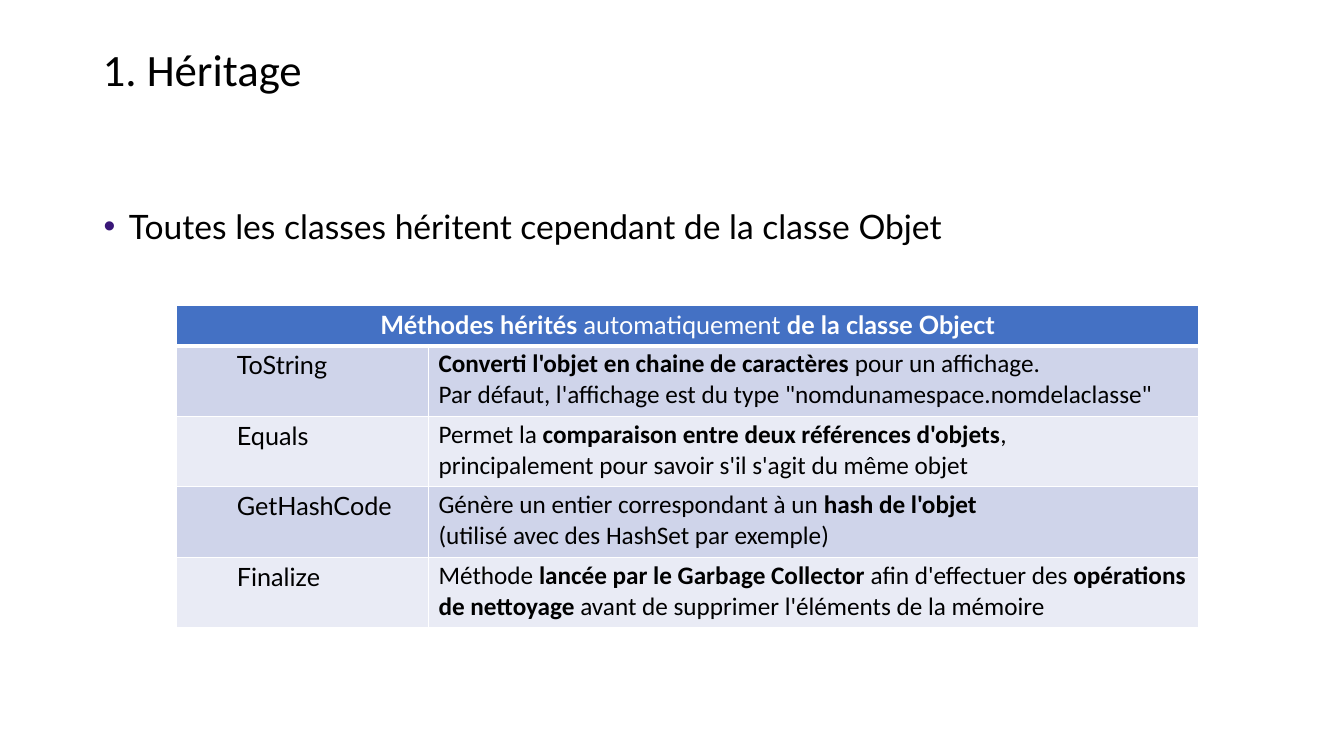
from dataclasses import dataclass

from lxml import etree
from pptx import Presentation
from pptx.dml.color import RGBColor
from pptx.enum.text import MSO_ANCHOR, PP_ALIGN
from pptx.oxml.ns import qn
from pptx.util import Inches, Pt

LEFT, CENTER = PP_ALIGN.LEFT, PP_ALIGN.CENTER
TOP, MIDDLE, BOTTOM = MSO_ANCHOR.TOP, MSO_ANCHOR.MIDDLE, MSO_ANCHOR.BOTTOM

COLORS = {
    "text": "000000",
    "white": "FFFFFF",
    "bullet": "391778",
    "header": "4471C4",
    "odd": "CFD4EA",
    "even": "E9EBF5",
}


@dataclass
class Method:
    name: str
    description: str


METHODS = [
    Method("ToString", "*Converti l'objet en chaine de caractères *pour un affichage.\n"
           "Par défaut, l'affichage est du type \"nomdunamespace.nomdelaclasse\""),
    Method("Equals", "Permet la *comparaison entre deux références d'objets*,\v"
           "principalement pour savoir s'il s'agit du même objet"),
    Method("GetHashCode", "Génère un entier correspondant à un *hash de l'objet*\n"
           "(utilisé avec des HashSet par exemple)"),
    Method("Finalize", "Méthode *lancée par le Garbage Collector *afin d'effectuer des "
           "*opérations de nettoyage *avant de supprimer l'éléments de la mémoire"),
]


def write(tf, text: str, *, size: float = 18, font: str = "Calibri", color: str = "text",
          align=LEFT, spacing: float = 1.0) -> None:
    """Fill a text frame: newline starts a paragraph, \\v a line, and *stars* mark bold."""
    tf.word_wrap = True
    for i, line in enumerate(text.split("\n")):
        p = tf.add_paragraph() if i else tf.paragraphs[0]
        p.alignment = align
        p.line_spacing = spacing
        for j, part in enumerate(line.split("*")):
            for k, piece in enumerate(part.split("\v")):
                if k:
                    p.add_line_break()
                if piece:
                    r = p.add_run()
                    r.text = piece
                    r.font.size = Pt(size)
                    r.font.name = font
                    r.font.bold = j % 2 == 1
                    r.font.color.rgb = RGBColor.from_string(COLORS[color])


def add_text(s, left: float, top: float, width: float, height: float, text: str, *,
             anchor=TOP, **style):
    """Add a text box and return its text frame."""
    sp = s.shapes.add_textbox(Inches(left), Inches(top), Inches(width), Inches(height))
    tf = sp.text_frame
    tf.vertical_anchor = anchor
    write(tf, text, **style)
    return tf


def add_bullet(p, indent: float, hanging: float) -> None:
    """Give a paragraph a coloured bullet with a hanging indent."""
    pPr = p._p.get_or_add_pPr()
    pPr.set("marL", str(Inches(indent)))
    pPr.set("indent", str(-Inches(hanging)))
    clr = etree.SubElement(pPr, qn("a:buClr"))
    etree.SubElement(clr, qn("a:srgbClr"), val=COLORS["bullet"])
    etree.SubElement(pPr, qn("a:buFont"), typeface="Arial")
    etree.SubElement(pPr, qn("a:buChar"), char="•")


def format_cell(cell, fill: str, left: float, top: float, *,
                above: float = 1, below: float = 1) -> None:
    """Set the margins, white borders and fill of a table cell."""
    cell.margin_left, cell.margin_top = Inches(left), Inches(top)
    cell.margin_right = cell.margin_bottom = 0
    tcPr = cell._tc.get_or_add_tcPr()
    for side, width in (("L", 1), ("R", 1), ("T", above), ("B", below)):
        ln = etree.SubElement(tcPr, qn(f"a:ln{side}"), w=str(Pt(width)))
        solid = etree.SubElement(ln, qn("a:solidFill"))
        etree.SubElement(solid, qn("a:srgbClr"), val=COLORS["white"])
    cell.fill.solid()
    cell.fill.fore_color.rgb = RGBColor.from_string(COLORS[fill])


def add_methods_table(s) -> None:
    """Add the table of inherited methods."""
    frame = s.shapes.add_table(len(METHODS) + 1, 2, Inches(1.75), Inches(3.03),
                               Inches(10.14), Inches(3.2))
    table = frame.table
    for col, width in zip(table.columns, (2.5, 7.64)):
        col.width = Inches(width)
    for i, row in enumerate(table.rows):
        row.height = Inches(0.7 if i else 0.4)

    header = table.cell(0, 0)
    header.merge(table.cell(0, 1))
    for col in range(2):
        format_cell(table.cell(0, col), "header", 0, 0.04, below=3)
    write(header.text_frame, "*Méthodes hérités *automatiquement *de la classe Object*",
          font="Lato", color="white", align=CENTER)

    for i, method in enumerate(METHODS, 1):
        fill = "odd" if i % 2 else "even"
        above = 3 if i == 1 else 1
        name, description = table.cell(i, 0), table.cell(i, 1)
        format_cell(name, fill, 0.6, 0.04, above=above)
        format_cell(description, fill, 0.1, 0.03, above=above)
        write(name.text_frame, method.name, font="Lato")
        write(description.text_frame, method.description)


def main() -> None:
    """Build and save the slide."""
    prs = Presentation()
    prs.slide_width, prs.slide_height = Inches(13.33), Inches(7.5)
    s = prs.slides.add_slide(prs.slide_layouts[6])
    add_text(s, 0.92, 0.4, 11.5, 0.63, "1. Héritage", size=32, anchor=MIDDLE, spacing=0.9)
    tf = add_text(s, 0.92, 1.57, 11.51, 0.92,
                  "Toutes les classes héritent cependant de la classe Objet",
                  size=24, font="Lato", anchor=BOTTOM)
    add_bullet(tf.paragraphs[0], 0.26, 0.25)
    add_methods_table(s)
    prs.save("out.pptx")


if __name__ == "__main__":
    main()
